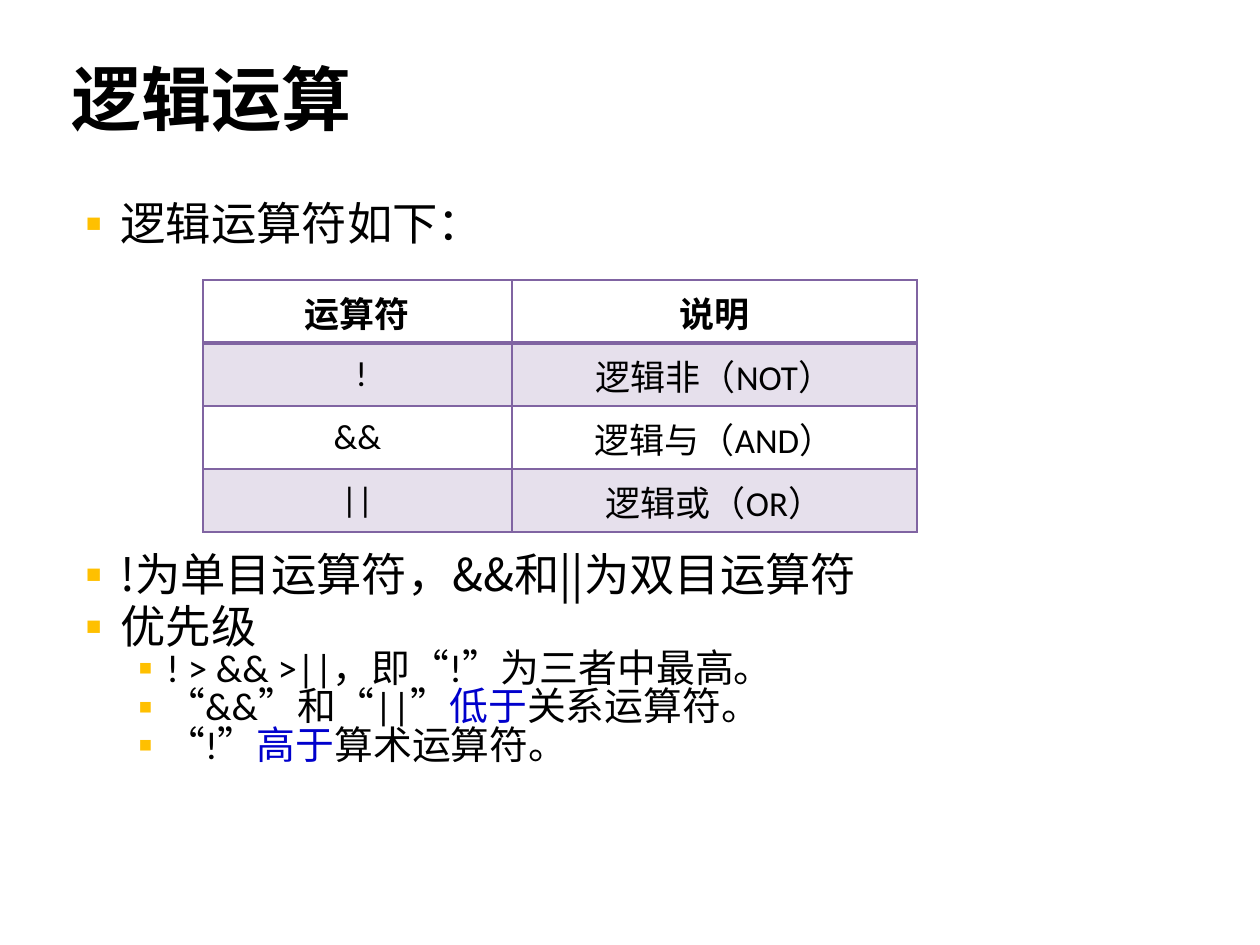
from dataclasses import dataclass

from lxml import etree
from pptx import Presentation
from pptx import util as u
from pptx.dml.color import RGBColor
from pptx.enum import text
from pptx.oxml import ns

PX = 914400 / 126


def px(n):
    return u.Emu(round(n * PX))


@dataclass(frozen=True)
class Theme:
    ink: str = "000000"
    accent: str = "0000CC"
    bullet: str = "FFC000"
    border: str = "8064A2"
    band: str = "E6E0EC"
    latin: str = "Calibri"
    quote: str = "Arial"
    cjk: str = "Noto Sans CJK SC"
    title: float = 40
    body: tuple = (25.9, 22.2)
    cell: float = 20
    space: tuple = (5, 0.5)
    indent: tuple = ((49, 49), (95, 40))


class Deck:
    def __init__(self, theme):
        self.t = theme
        self.prs = Presentation()
        self.prs.slide_width, self.prs.slide_height = px(1260), px(945)
        self.s = self.prs.slides.add_slide(self.prs.slide_layouts[6])

    def font(self, r, size, name=None, color=None, bold=False):
        r.font.size, r.font.bold = u.Pt(size), bold
        r.font.name = name or self.t.latin
        r.font.color.rgb = RGBColor.from_string(color or self.t.ink)
        ea = etree.SubElement(r.font._element, ns.qn("a:ea"))
        ea.set("typeface", self.t.cjk)

    def box(self, x, y, w, h):
        tf = self.s.shapes.add_textbox(px(x), px(y), px(w), px(h)).text_frame
        tf.word_wrap = True
        return tf

    def title(self, x, y, w, h, words):
        p = self.box(x, y, w, h).paragraphs[0]
        p.text, p.line_spacing = words, 0.9
        self.font(p.runs[0], self.t.title, bold=True)

    def bullet(self, p, level):
        pPr = p._p.get_or_add_pPr()
        left, hang = self.t.indent[level]
        pPr.set("marL", str(px(left)))
        pPr.set("indent", str(-px(hang)))
        clr = etree.SubElement(pPr, ns.qn("a:buClr"))
        etree.SubElement(clr, ns.qn("a:srgbClr")).set("val", self.t.bullet)
        etree.SubElement(pPr, ns.qn("a:buFont")).set("typeface", self.t.cjk)
        etree.SubElement(pPr, ns.qn("a:buChar")).set("char", "▪")

    def bullets(self, x, y, w, h, items):
        """Each item is a level and its runs; a run is (words, font, colour)."""
        tf = self.box(x, y, w, h)
        for i, (level, runs) in enumerate(items):
            p = tf.paragraphs[0] if i == 0 else tf.add_paragraph()
            p.level = level
            self.bullet(p, level)
            p.line_spacing = 0.8
            if i:
                p.space_before = u.Pt(self.t.space[level])
            for words, name, color in runs:
                r = p.add_run()
                r.text = words
                self.font(r, self.t.body[level], name, color)

    def border(self, cell, side, width):
        ln = etree.SubElement(cell._tc.get_or_add_tcPr(), ns.qn(f"a:{side}"))
        ln.set("w", str(u.Pt(width)))
        fill = etree.SubElement(ln, ns.qn("a:solidFill"))
        etree.SubElement(fill, ns.qn("a:srgbClr")).set("val", self.t.border)

    def table(self, x, y, widths, row_h, rows):
        tbl = self.s.shapes.add_table(len(rows), len(widths), px(x), px(y),
                                      px(sum(widths)), px(row_h * len(rows))).table
        for col, w in zip(tbl.columns, widths):
            col.width = px(w)
        for i, row in enumerate(rows):
            tbl.rows[i].height = px(row_h)
            for j, words in enumerate(row):
                cell = tbl.cell(i, j)
                cell.vertical_anchor = text.MSO_ANCHOR.MIDDLE
                for side in ("lnL", "lnR", "lnT", "lnB"):
                    heavy = (i, side) in ((0, "lnB"), (1, "lnT"))
                    self.border(cell, side, 2 if heavy else 1)
                if i % 2:
                    cell.fill.solid()
                    cell.fill.fore_color.rgb = RGBColor.from_string(self.t.band)
                else:
                    cell.fill.background()
                p = cell.text_frame.paragraphs[0]
                p.text, p.alignment = words, text.PP_ALIGN.CENTER
                self.font(p.runs[0], self.t.cell, bold=i == 0)


def main():
    t = Theme()
    d = Deck(t)

    def plain(words, color=None):
        return [(words, t.latin, color)]

    def head(words):
        return 0, [(words, t.cjk, None)]

    def quoted(words):
        return [("“", t.quote, None), *plain(words), ("”", t.quote, None)]

    # Title and introduction
    d.title(59, 59, 1142, 122, "逻辑运算")
    d.bullets(59, 199, 1142, 70, [head("逻辑运算符如下：")])

    # Operators
    d.table(203, 280, (309, 405), 63, [
        ("运算符", "说明"),
        (" !", "逻辑非（NOT）"),
        ("&&", "逻辑与（AND）"),
        ("||", "逻辑或（OR）"),
    ])

    # Arity and precedence
    d.bullets(59, 550, 1142, 298, [
        head("!为单目运算符，&&和||为双目运算符"),
        head("优先级"),
        (1, plain("! > && >||，即") + quoted("!") + plain("为三者中最高。")),
        (1, quoted("&&") + plain("和") + quoted("||")
            + plain("低于", t.accent) + plain("关系运算符。")),
        (1, quoted("!") + plain("高于", t.accent) + plain("算术运算符。")),
    ])

    d.prs.save("out.pptx")


if __name__ == "__main__":
    main()
